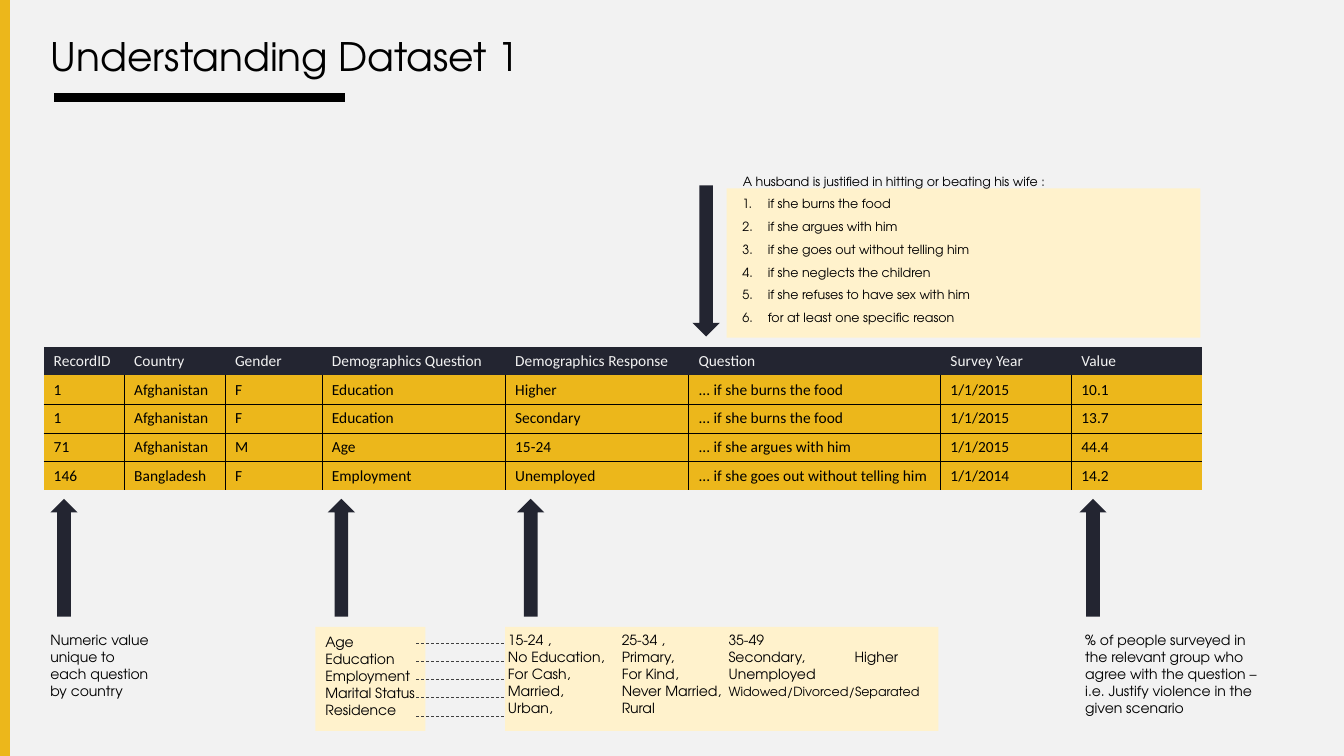
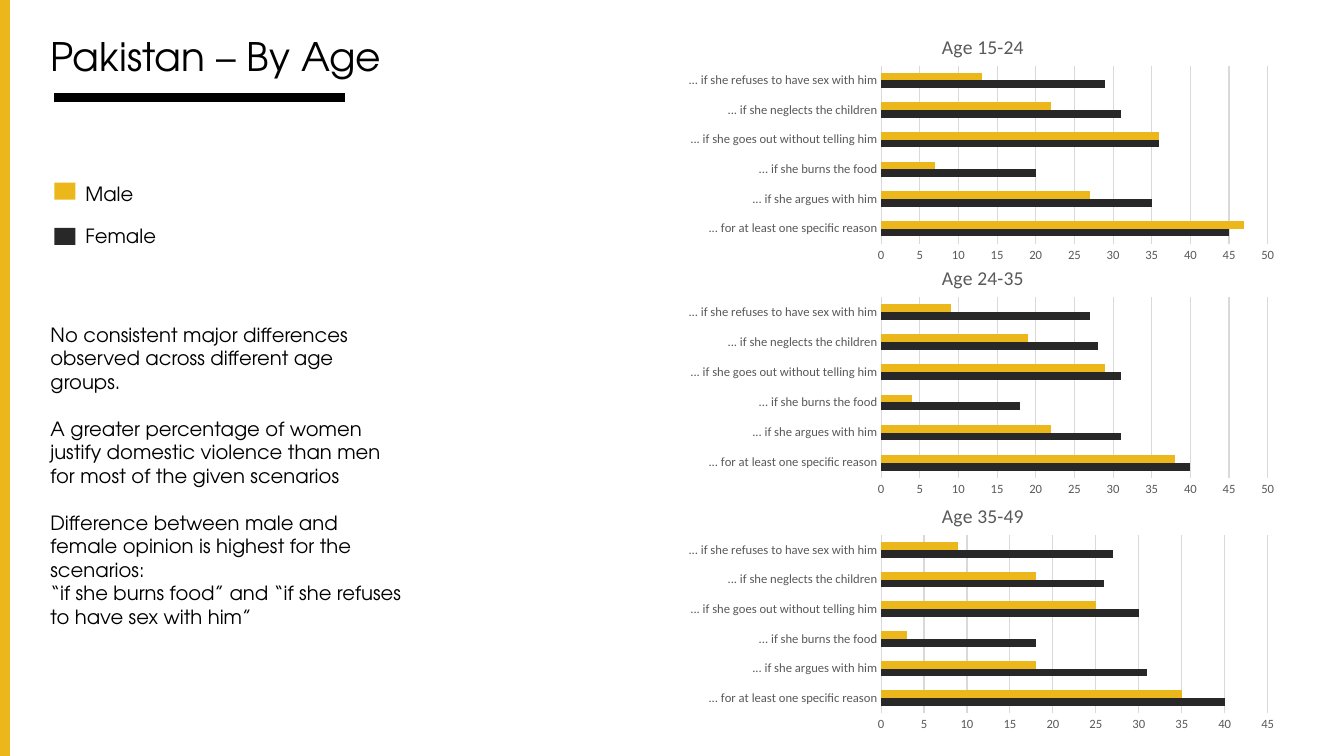
from dataclasses import dataclass
from typing import NamedTuple

from lxml.etree import SubElement
from pptx import Presentation
from pptx.chart.data import CategoryChartData
from pptx.dml.color import RGBColor
from pptx.enum.chart import XL_CHART_TYPE as ChartType, XL_TICK_MARK as TickMark
from pptx.enum.dml import MSO_LINE as Dash
from pptx.enum.shapes import MSO_CONNECTOR as Connector, MSO_SHAPE as Shape
from pptx.enum.text import MSO_ANCHOR as Anchor
from pptx.oxml import parse_xml
from pptx.oxml.ns import nsdecls, qn
from pptx.util import Cm, Pt

COLOURS = {
    "black": "000000", "white": "FFFFFF", "paper": "F2F2F2", "gold": "ECB71B",
    "navy": "232531", "cream": "FFF2CC", "charcoal": "282828",
    "dash": "404040", "label": "595959", "grid": "D9D9D9",
}
TEXT_FONT = "TeX Gyre Adventor"
DATA_FONT = "Calibri"
NO_TABLE_STYLE = "{2D5ABB26-0587-4C30-8999-92F81FD0307C}"


class Box(NamedTuple):
    """Place and size in centimetres."""
    left: float
    top: float
    width: float
    height: float

    def lengths(self) -> list:
        return [Cm(value) for value in self]


@dataclass
class Note:
    box: Box
    lines: list[str]


@dataclass
class LegendEntry:
    label: str
    colour: str
    swatch_top: float
    label_top: float


@dataclass
class AgeGroup:
    title: str
    top: float
    height: float
    axis_max: int
    female: list[int]
    male: list[int]


PANELS = [Box(18.31, 4.75, 11.94, 3.76), Box(7.95, 15.8, 2.77, 2.62),
          Box(12.73, 15.8, 10.92, 2.62)]
UP_ARROW_LEFTS = [1.27, 8.26, 13.03, 27.2]
DOWN_ARROW = Box(17.45, 4.67, 0.69, 3.81)

COLUMN_WIDTHS = [2.03, 2.54, 2.44, 4.62, 4.62, 6.35, 3.3, 3.3]
RECORDS = [
    ["RecordID", "Country", "Gender", "Demographics Question",
     "Demographics Response", "Question", "Survey Year", "Value"],
    ["1", "Afghanistan", "F", "Education", "Higher",
     "... if she burns the food", "1/1/2015", "10.1"],
    ["1", "Afghanistan", "F", "Education", "Secondary",
     "... if she burns the food", "1/1/2015", "13.7"],
    ["71", "Afghanistan", "M", "Age", "15-24",
     "... if she argues with him", "1/1/2015", "44.4"],
    ["146", "Bangladesh", "F", "Employment", "Unemployed",
     "... if she goes out without telling him", "1/1/2014", "14.2"],
]

COLUMN_NOTES = [
    Note(Box(1.02, 15.8, 3.07, 1.96),
         ["Numeric value unique to each question by country"]),
    Note(Box(7.95, 15.85, 3.89, 2.39),
         ["Age", "Education", "Employment", "Marital Status", "Residence"]),
    Note(Box(27.1, 15.8, 4.9, 2.39),
         ["% of people surveyed in the relevant group who agree with the "
          "question – i.e. Justify violence in the given scenario"]),
]
RESPONSES = Note(Box(12.55, 15.8, 12.73, 2.39), [
    "15-24 , \t25-34 , \t35-49",
    "No Education, \tPrimary, \tSecondary, \tHigher",
    "For Cash, \tFor Kind, \tUnemployed",
    "Married, \tNever Married,\t",
    "Urban, \tRural",
])
RESPONSE_TABS = [2.87, 5.56, 8.74]
SCENARIOS = Note(Box(17.35, 4.06, 11.66, 4.22), [
    "A husband is justified in hitting or beating his wife :",
    "if she burns the food",
    "if she argues with him",
    "if she goes out without telling him",
    "if she neglects the children",
    "if she refuses to have sex with him",
    "for at least one specific reason",
])

FINDINGS = Note(Box(1.02, 8, 9.4, 9.25), [
    "No consistent major differences observed across different age groups.",
    "A greater percentage of women justify domestic violence than men for most "
    "of the given scenarios",
    "Difference between male and female opinion is highest for the scenarios:",
    "“if she burns food” and “if she refuses to have sex with him”",
])
LEGEND = [LegendEntry("Male", "gold", 4.6, 4.47),
          LegendEntry("Female", "charcoal", 5.74, 5.51)]
REASONS = ["... for at least one specific reason", "... if she argues with him",
           "... if she burns the food", "... if she goes out without telling him",
           "... if she neglects the children",
           "... if she refuses to have sex with him"]
AGE_GROUPS = [
    AgeGroup("Age 15-24", 0.36, 6.38, 50,
             [45, 35, 20, 36, 31, 29], [47, 27, 7, 36, 22, 13]),
    AgeGroup("Age 24-35", 6.17, 6.48, 50,
             [40, 31, 18, 31, 28, 27], [38, 22, 4, 29, 19, 9]),
    AgeGroup("Age 35-49", 12.19, 6.38, 45,
             [40, 31, 18, 30, 26, 27], [35, 18, 3, 25, 18, 9]),
]


def rgb(colour: str) -> RGBColor:
    return RGBColor.from_string(COLOURS[colour])


def style_font(font, size: float, colour: str = "black", name: str = TEXT_FONT) -> None:
    font.size, font.name, font.bold = Pt(size), name, False
    font.color.rgb = rgb(colour)


def add_block(slide, box: Box, colour: str, kind=Shape.RECTANGLE):
    block = slide.shapes.add_shape(kind, *box.lengths())
    block.shadow.inherit = False
    block.fill.solid()
    block.fill.fore_color.rgb = rgb(colour)
    block.line.fill.background()
    return block


def add_rule(slide, left: float, right: float, y: float, colour: str, width: float):
    """Draw a horizontal line."""
    rule = slide.shapes.add_connector(
        Connector.STRAIGHT, Cm(left), Cm(y), Cm(right), Cm(y))
    SubElement(rule.element.spPr, qn("a:effectLst"))
    rule.line.color.rgb = rgb(colour)
    rule.line.width = Pt(width)
    return rule


def add_note(slide, note: Note, size: float):
    frame = slide.shapes.add_textbox(*note.box.lengths()).text_frame
    frame.word_wrap = True
    frame.text = "\n".join(note.lines)
    for paragraph in frame.paragraphs:
        for run in paragraph.runs:
            style_font(run.font, size)
    return frame


def start_slide(deck, title: str, background: str):
    """Add a slide with its background, side band, title and title rule."""
    slide = deck.slides.add_slide(deck.slide_layouts[6])
    slide.background.fill.solid()
    slide.background.fill.fore_color.rgb = rgb(background)
    add_block(slide, Box(0, 0, 0.25, 19.05), "gold")
    heading = add_note(slide, Note(Box(1.02, -0.36, 29.21, 3.68), [title]), 28)
    heading.vertical_anchor = Anchor.MIDDLE
    heading.paragraphs[0].line_spacing = 0.9
    add_rule(slide, 1.37, 8.69, 2.46, "black", 6)
    return slide


def add_borders(cell, sides: str) -> None:
    """Give the cell thin borders; sides holds letters out of LRTB, in that order."""
    properties = cell._tc.get_or_add_tcPr()
    for index, side in enumerate(sides):
        properties.insert(index, parse_xml(
            f'<a:ln{side} {nsdecls("a")} w="3175"><a:solidFill>'
            f'<a:srgbClr val="{COLOURS["black"]}"/></a:solidFill></a:ln{side}>'))


def add_records(slide) -> None:
    rows, columns = len(RECORDS), len(COLUMN_WIDTHS)
    box = Box(1.1, 8.74, sum(COLUMN_WIDTHS), 0.72 * rows)
    frame = slide.shapes.add_table(rows, columns, *box.lengths())
    frame.element.xpath(".//a:tableStyleId")[0].text = NO_TABLE_STYLE
    table = frame.table
    for column, width in zip(table.columns, COLUMN_WIDTHS):
        column.width = Cm(width)
    for r, record in enumerate(RECORDS):
        for c, value in enumerate(record):
            cell = table.cell(r, c)
            cell.text = value
            cell.vertical_anchor = Anchor.BOTTOM
            cell.fill.solid()
            cell.fill.fore_color.rgb = rgb("gold" if r else "navy")
            style_font(cell.text_frame.paragraphs[0].runs[0].font, 11,
                       "black" if r else "paper", DATA_FONT)
            if r:
                inner = {"L": c > 0, "R": c < columns - 1,
                         "T": r > 1, "B": r < rows - 1}
                add_borders(cell, "".join(side for side in inner if inner[side]))


def add_responses(slide) -> None:
    lines = add_note(slide, RESPONSES, 10).paragraphs
    for line in lines:
        tabs = SubElement(line._p.get_or_add_pPr(), qn("a:tabLst"))
        for position in RESPONSE_TABS[:max(2, line.text.count("\t"))]:
            SubElement(tabs, qn("a:tab"), pos=str(Cm(position)), algn="l")
    marital = lines[3].add_run()
    marital.text = "Widowed/Divorced/Separated"
    style_font(marital.font, 9)


def add_scenarios(slide) -> None:
    for index, line in enumerate(add_note(slide, SCENARIOS, 9).paragraphs):
        properties = line._p.get_or_add_pPr()
        properties.set("marL", str(Cm(1.75 if index else 1.12)))
        properties.set("indent", str(Cm(-0.64 if index else 0)))
        if index:
            SubElement(properties, qn("a:buAutoNum"), type="arabicPeriod")
        line.line_spacing = 1.5


def set_layout(part, index: int, **fractions: float) -> None:
    """Place a chart part by fractions of the chart's size."""
    for layout in part.xpath("./c:layout"):
        part.remove(layout)
    modes = '<c:xMode val="edge"/><c:yMode val="edge"/>'
    values = "".join(f'<c:{key} val="{value}"/>' for key, value in fractions.items())
    target = '<c:layoutTarget val="inner"/>' if "w" in fractions else ""
    part.insert(index, parse_xml(
        f'<c:layout {nsdecls("c")}><c:manualLayout>{target}{modes}{values}'
        '</c:manualLayout></c:layout>'))


def add_age_chart(slide, group: AgeGroup) -> None:
    data = CategoryChartData()
    data.categories = REASONS
    data.add_series("Female", group.female)
    data.add_series("Male", group.male)
    box = Box(17.04, group.top, 15.37, group.height)
    chart = slide.shapes.add_chart(
        ChartType.BAR_CLUSTERED, *box.lengths(), data).chart
    chart.has_legend = False
    style_font(chart.font, 10, "black", DATA_FONT)

    title = chart.chart_title.text_frame
    title.text = group.title
    style_font(title.paragraphs[0].runs[0].font, 14, "label", DATA_FONT)
    set_layout(chart.element.xpath("./c:chart/c:title")[0], 1, x=0.43, y=0.06)
    set_layout(chart.element.xpath("./c:chart/c:plotArea")[0], 0,
               x=0.336, y=0.203, w=0.634, h=0.703)

    plot = chart.plots[0]
    plot.gap_width, plot.overlap, plot.vary_by_categories = 182, 0, False
    for series, colour in zip(plot.series, ["charcoal", "gold"]):
        series.format.fill.solid()
        series.format.fill.fore_color.rgb = rgb(colour)

    reasons, percent = chart.category_axis, chart.value_axis
    for axis in (reasons, percent):
        axis.major_tick_mark = axis.minor_tick_mark = TickMark.NONE
        style_font(axis.tick_labels.font, 9, "label", DATA_FONT)
    percent.minimum_scale, percent.maximum_scale = 0, group.axis_max
    percent.major_unit = 5
    percent.format.line.fill.background()
    percent.has_major_gridlines = True
    for line in (reasons.format.line, percent.major_gridlines.format.line):
        line.color.rgb = rgb("grid")
        line.width = Pt(0.75)


def build_dataset_slide(deck) -> None:
    slide = start_slide(deck, "Understanding Dataset 1", "paper")
    for panel in PANELS:
        add_block(slide, panel, "cream")
    add_records(slide)
    for left in UP_ARROW_LEFTS:
        add_block(slide, Box(left, 12.57, 0.69, 2.97), "navy", Shape.UP_ARROW)
    add_block(slide, DOWN_ARROW, "navy", Shape.UP_ARROW).rotation = 180
    for note in COLUMN_NOTES:
        add_note(slide, note, 10)
    add_responses(slide)
    for index in range(len(RESPONSES.lines)):
        link = add_rule(slide, 10.49, 12.73, 16.2 + 0.46 * index, "dash", 0.5)
        link.line.dash_style = Dash.DASH
    add_scenarios(slide)


def build_age_slide(deck) -> None:
    slide = start_slide(deck, "Pakistan – By Age", "white")
    findings = add_note(slide, FINDINGS, 14).paragraphs
    for finding in findings[1:3]:
        finding.space_before = Pt(16.8)
    for group in AGE_GROUPS:
        add_age_chart(slide, group)
    for entry in LEGEND:
        add_block(slide, Box(1.37, entry.swatch_top, 0.53, 0.43), entry.colour)
        add_note(slide, Note(Box(1.9, entry.label_top, 9.4, 0.86), [entry.label]), 14)


def main() -> None:
    deck = Presentation()
    deck.slide_width, deck.slide_height = Cm(33.87), Cm(19.05)
    build_dataset_slide(deck)
    build_age_slide(deck)
    deck.save("out.pptx")


if __name__ == "__main__":
    main()
